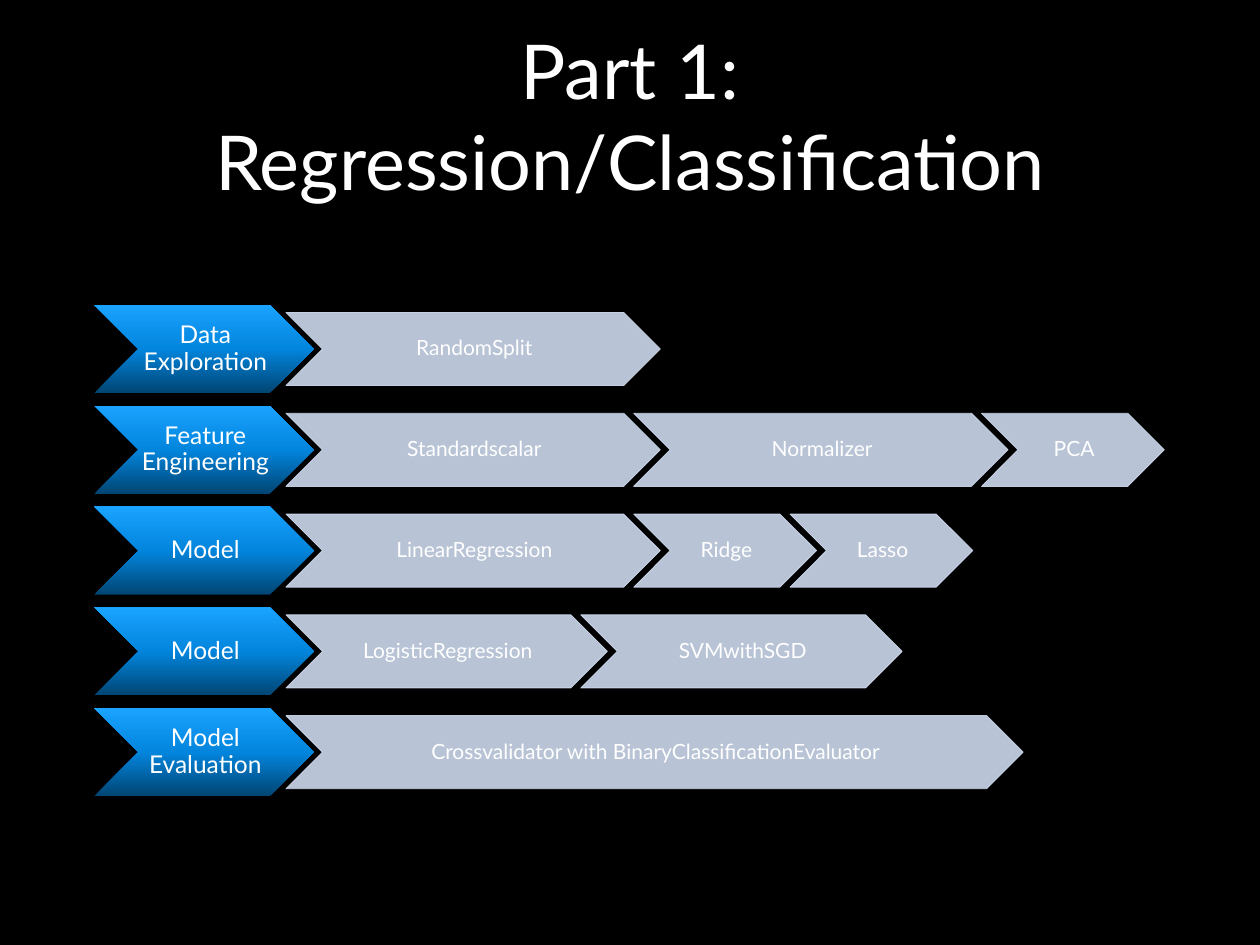
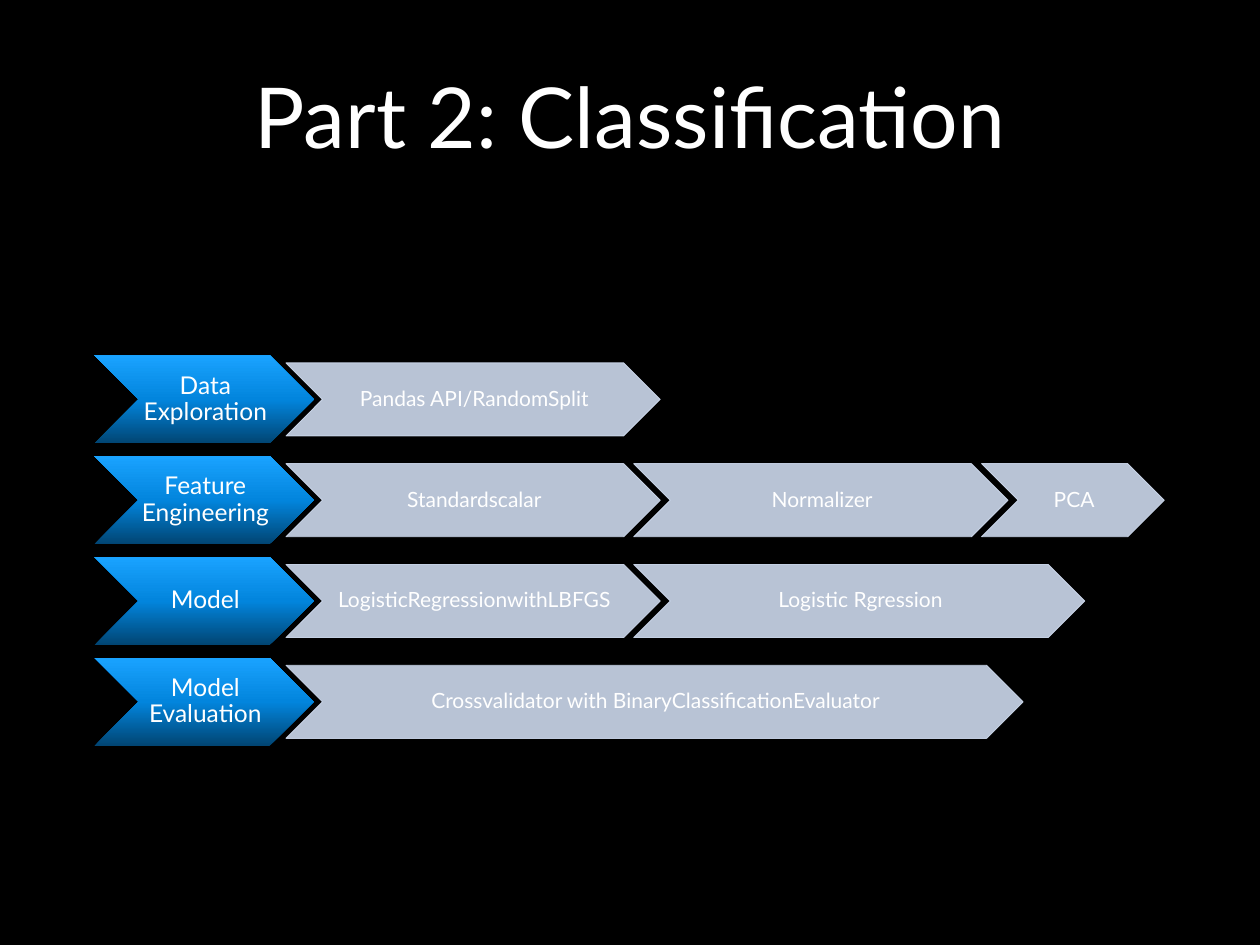
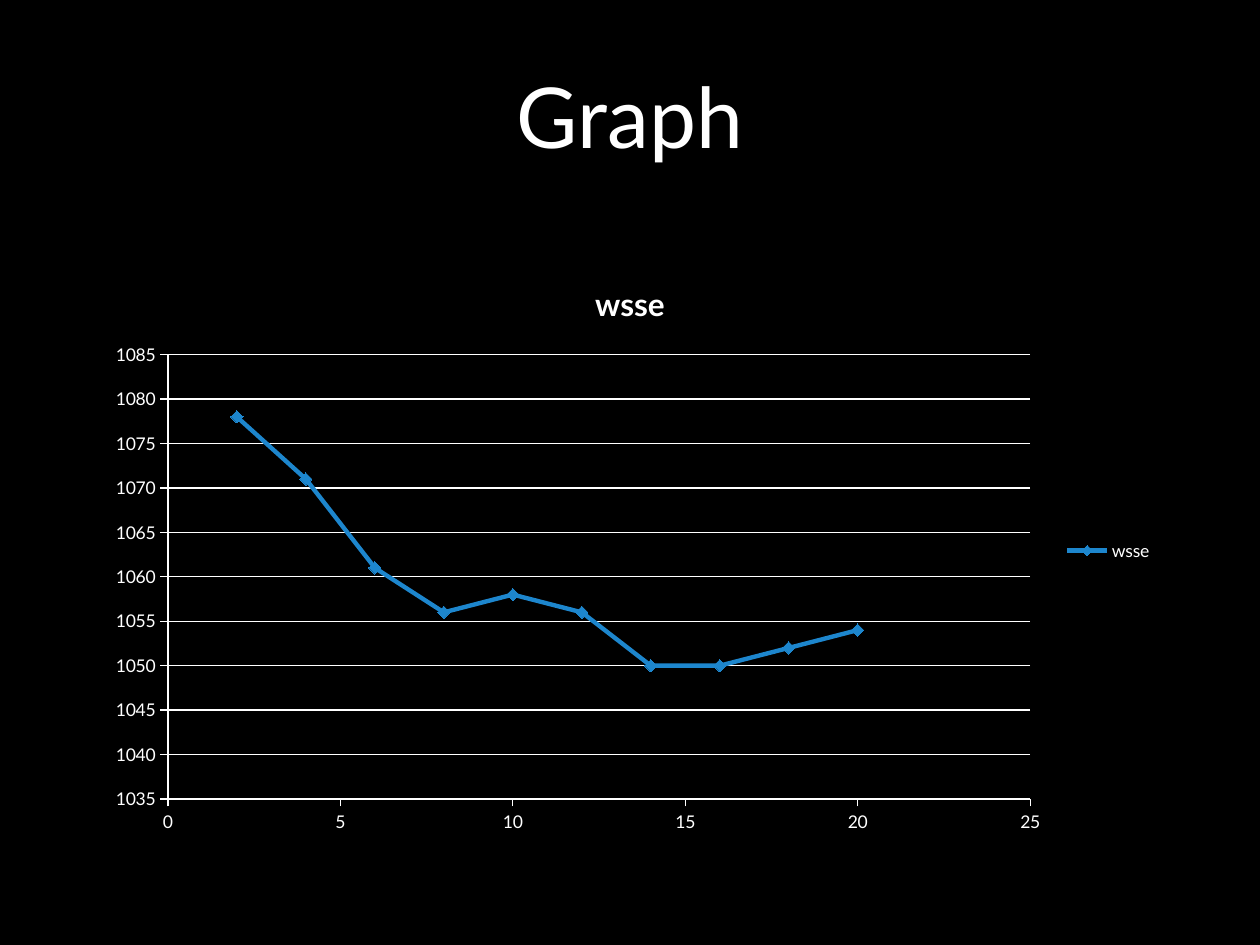
from typing import NamedTuple

from pptx import Presentation
from pptx.chart.data import XyChartData
from pptx.dml.color import RGBColor
from pptx.enum.chart import XL_CHART_TYPE as ChartType
from pptx.enum.chart import XL_LEGEND_POSITION as LegendPos
from pptx.enum.chart import XL_MARKER_STYLE as Marker
from pptx.enum.chart import XL_TICK_MARK as Tick
from pptx.enum.shapes import MSO_SHAPE as Shape
from pptx.enum.text import MSO_ANCHOR as Anchor
from pptx.enum.text import PP_ALIGN as Align
from pptx.oxml import parse_xml
from pptx.oxml.ns import nsdecls, qn
from pptx.util import Inches, Pt

# Shared look
FONT = "Lato"
BLACK, WHITE = "000000", "FFFFFF"
STAGE_STOPS = ((0, "014573"), (50, "0285DD"), (100, "1AA3FF"))
STEP_COLOR, STEP_OPACITY = "CDD9ED", 90
CURVE_COLOR = "1D86CD"

# Chevron grid, in inches
STAGE_LEFT, STAGE_W, STAGE_H = 0.75, 1.74, 0.7
STEP_LEFT, STEP_H, STEP_OVERLAP = 2.27, 0.58, 0.21
ROW_PITCH, ROWS_CENTER = 0.8, 4.37


class Box(NamedTuple):
    left: float
    top: float
    width: float
    height: float

    def lengths(self) -> list:
        return [Inches(v) for v in self]


class Step(NamedTuple):
    name: str
    width: float = 2.97


class Stage(NamedTuple):
    name: str
    steps: list[Step]


TITLE_BOX = Box(0.75, 0.13, 8.5, 1.56)
CHART_BOX = Box(0.75, 2.04, 8.5, 4.66)

FEATURES = Stage("Feature Engineering",
                 [Step("Standardscalar"), Step("Normalizer"), Step("PCA", 1.45)])
EVALUATION = Stage("Model Evaluation",
                   [Step("Crossvalidator with BinaryClassificationEvaluator", 5.85)])
PART_1 = [
    Stage("Data Exploration", [Step("RandomSplit")]),
    FEATURES,
    Stage("Model", [Step("LinearRegression"), Step("Ridge", 1.45), Step("Lasso", 1.45)]),
    Stage("Model", [Step("LogisticRegression", 2.55), Step("SVMwithSGD", 2.55)]),
    EVALUATION,
]
PART_2 = [
    Stage("Data Exploration", [Step("Pandas API/RandomSplit")]),
    FEATURES,
    Stage("Model", [Step("LogisticRegressionwithLBFGS"), Step("Logistic Rgression", 3.58)]),
    EVALUATION,
]
WSSE = [1078, 1071, 1061, 1056, 1058, 1056, 1050, 1050, 1052, 1054]


def rgb(color: str) -> RGBColor:
    return RGBColor.from_string(color)


def add_text(slide, box: Box, text: str, *, size: float, color: str = WHITE,
             margins: tuple = (0.1, 0.05, 0.1, 0.05), spacing: float = 1.0) -> None:
    tf = slide.shapes.add_textbox(*box.lengths()).text_frame
    tf.word_wrap = True
    tf.vertical_anchor = Anchor.MIDDLE
    tf.margin_left, tf.margin_top, tf.margin_right, tf.margin_bottom = map(Inches, margins)
    p = tf.paragraphs[0]
    p.alignment = Align.CENTER
    p.line_spacing = spacing
    r = p.add_run()
    r.text = text
    r.font.name, r.font.size = FONT, Pt(size)
    r.font.color.rgb = rgb(color)


def add_slide(prs, title: str, size: float = 48):
    slide = prs.slides.add_slide(prs.slide_layouts[6])
    slide.background.fill.solid()
    slide.background.fill.fore_color.rgb = rgb(BLACK)
    add_text(slide, TITLE_BOX, title, size=size)
    return slide


def add_chevron(slide, box: Box, text: str, size: float):
    """Draw a chevron with its label between notch and tip."""
    sp = slide.shapes.add_shape(Shape.CHEVRON, *box.lengths())
    sp.shadow.inherit = False
    tip = box.height / 2
    label = Box(box.left + tip, box.top, box.width - 2 * tip, box.height)
    add_text(slide, label, text, size=size, margins=(0.02, 0.01, 0, 0.01), spacing=0.9)
    return sp


def add_stage(slide, box: Box, text: str) -> None:
    sp = add_chevron(slide, box, text, 14)
    sp.line.fill.background()
    stops = "".join(f'<a:gs pos="{pos * 1000}"><a:srgbClr val="{color}"/></a:gs>'
                    for pos, color in STAGE_STOPS)
    gradient = parse_xml(f'<a:gradFill {nsdecls("a")} rotWithShape="1"><a:gsLst>{stops}'
                         f'</a:gsLst><a:lin ang="{270 * 60000}" scaled="0"/></a:gradFill>')
    sp.element.spPr.find(qn("a:prstGeom")).addnext(gradient)


def add_step(slide, box: Box, text: str) -> None:
    sp = add_chevron(slide, box, text, 12)
    sp.fill.solid()
    sp.fill.fore_color.rgb = rgb(STEP_COLOR)
    sp.line.color.rgb = rgb(STEP_COLOR)
    sp.line.width = Pt(0.5)
    for clr in sp.element.spPr.iter(qn("a:srgbClr")):
        clr.append(parse_xml(f'<a:alpha {nsdecls("a")} val="{STEP_OPACITY * 1000}"/>'))


def add_pipeline(slide, stages: list[Stage]) -> None:
    """Stack the stages around the centre line, each followed by its steps."""
    first_top = ROWS_CENTER - ((len(stages) - 1) * ROW_PITCH + STAGE_H) / 2
    for row, stage in enumerate(stages):
        top = first_top + row * ROW_PITCH
        add_stage(slide, Box(STAGE_LEFT, top, STAGE_W, STAGE_H), stage.name)
        left, step_top = STEP_LEFT, top + (STAGE_H - STEP_H) / 2
        for step in stage.steps:
            add_step(slide, Box(left, step_top, step.width, STEP_H), step.name)
            left += step.width - STEP_OVERLAP


def style_axis(axis, low: float, high: float, grid: bool) -> None:
    axis.minimum_scale, axis.maximum_scale, axis.major_unit = low, high, 5
    axis.major_tick_mark, axis.minor_tick_mark = Tick.OUTSIDE, Tick.NONE
    axis.has_major_gridlines = grid
    axis.tick_labels.number_format = "General"
    axis.tick_labels.number_format_is_linked = False
    lines = [axis.format.line] + ([axis.major_gridlines.format.line] if grid else [])
    for line in lines:
        line.color.rgb = rgb(WHITE)
        line.width = Pt(0.75)


def add_wsse_chart(slide) -> None:
    data = XyChartData()
    points = data.add_series("wsse")
    for i, value in enumerate(WSSE, start=1):
        points.add_data_point(2 * i, value)
    chart = slide.shapes.add_chart(ChartType.XY_SCATTER_SMOOTH, *CHART_BOX.lengths(), data).chart
    chart.font.name, chart.font.size = FONT, Pt(10)
    chart.font.color.rgb = rgb(WHITE)

    # Title and legend
    chart.has_title = True
    tf = chart.chart_title.text_frame
    tf.text = "wsse"
    font = tf.paragraphs[0].runs[0].font
    font.name, font.size, font.bold = FONT, Pt(18), True
    font.color.rgb = rgb(WHITE)
    chart.has_legend = True
    chart.legend.position = LegendPos.RIGHT
    chart.legend.include_in_layout = False

    # Axes and curve
    style_axis(chart.category_axis, 0, 25, grid=False)
    style_axis(chart.value_axis, 1035, 1085, grid=True)
    plot = chart.plots[0]
    plot.vary_by_categories = False
    series = plot.series[0]
    series.format.line.color.rgb = rgb(CURVE_COLOR)
    series.format.line.width = Pt(2.5)
    series.marker.style, series.marker.size = Marker.DIAMOND, 7
    series.marker.format.fill.solid()
    series.marker.format.fill.fore_color.rgb = rgb(CURVE_COLOR)
    series.marker.format.line.color.rgb = rgb(CURVE_COLOR)


def main() -> None:
    prs = Presentation()
    prs.slide_width, prs.slide_height = Inches(10), Inches(7.5)
    add_pipeline(add_slide(prs, "Part 1: Regression/Classification", 43.2), PART_1)
    add_pipeline(add_slide(prs, "Part 2: Classification"), PART_2)
    add_wsse_chart(add_slide(prs, "Graph"))
    prs.save("out.pptx")


if __name__ == "__main__":
    main()
